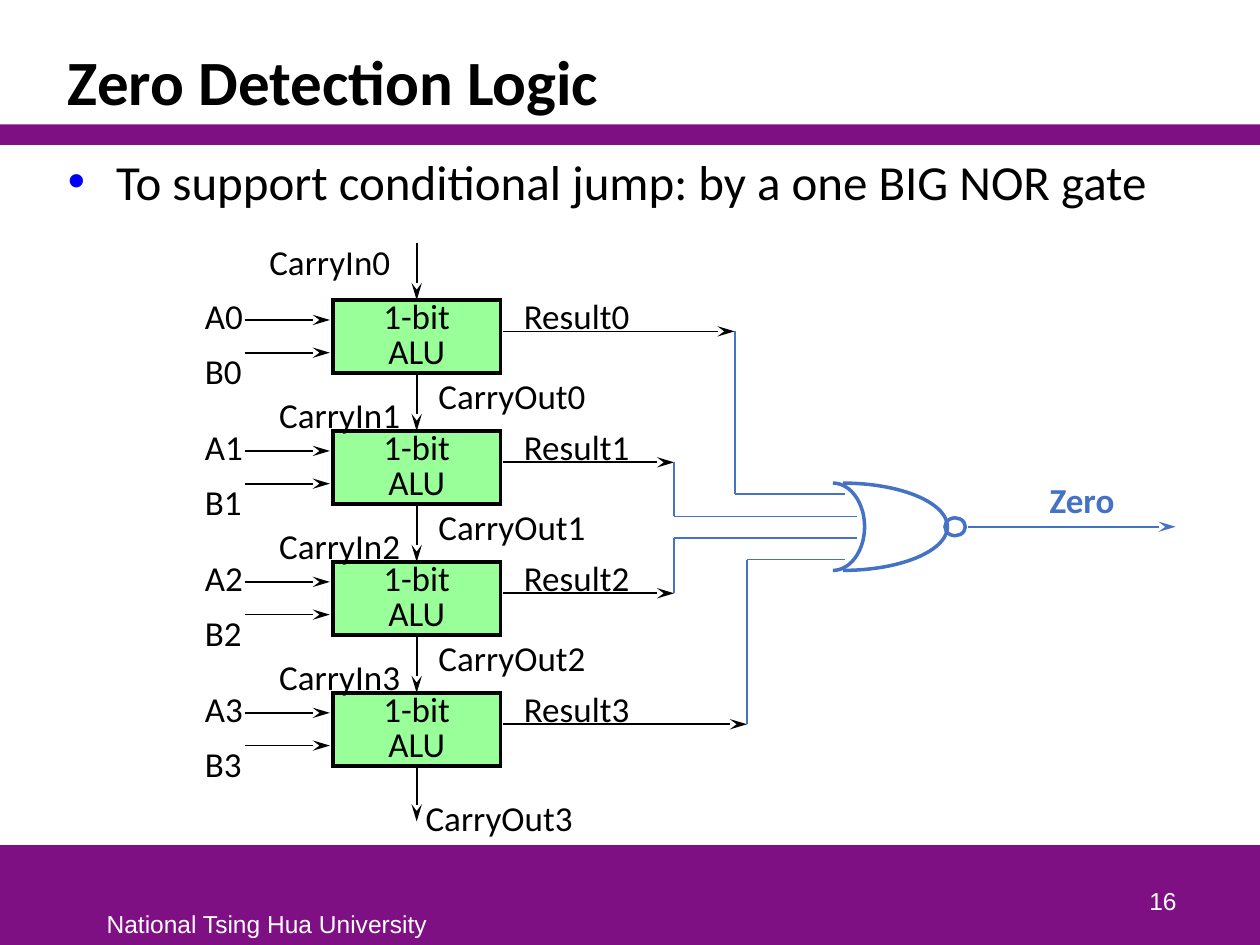
from math import cos, pi, sin

from lxml.etree import SubElement
from pptx import Presentation
from pptx.dml.color import RGBColor
from pptx.enum.shapes import MSO_CONNECTOR, MSO_SHAPE
from pptx.enum.text import MSO_ANCHOR, PP_ALIGN
from pptx.oxml.ns import qn
from pptx.util import Cm, Pt

PURPLE, GREEN, BLUE = "7F1084", "99FF99", "4472C4"
BLACK, WHITE, BULLET = "000000", "FFFFFF", "0000FF"

PITCH = 2.64                                    # from one ALU to the next
ALU_X, ALU_Y, ALU_W, ALU_H = 6.71, 6.05, 3.38, 1.47
CARRY_X = ALU_X + ALU_W / 2
GATE_Y, GATE_RY = 10.62, 0.88
# result end x, gate input x, gate input y
WIRES = [(14.81, 17.04, 9.96), (13.59, 17.27, 10.41),
         (13.59, 17.27, 10.85), (15.06, 17.04, 11.28)]


def rgb(color):
    return RGBColor.from_string(color)


class Diagram:
    font, size, line_width, outline_width = "Calibri", 20, 1, 2

    def __init__(self, slide):
        self.shapes = slide.shapes

    def style(self, p, color=BLACK, size=None, font=None, bold=False):
        for r in p.runs:
            r.font.name = font or self.font
            r.font.size = Pt(size or self.size)
            r.font.bold = bold
            r.font.color.rgb = rgb(color)

    def text(self, text, x, y, w, h=1.09, wrap=False, anchor=MSO_ANCHOR.TOP,
             align=PP_ALIGN.LEFT, **style):
        tf = self.shapes.add_textbox(Cm(x), Cm(y), Cm(w), Cm(h)).text_frame
        tf.word_wrap = wrap
        tf.vertical_anchor = anchor
        tf.text = text
        p = tf.paragraphs[0]
        p.alignment = align
        self.style(p, **style)
        return p

    def bullet(self, text, x, y, w, h, indent, size):
        p = self.text(text, x, y, w, h, wrap=True, size=size)
        pPr = p._p.get_or_add_pPr()
        pPr.set("marL", str(Cm(indent)))
        pPr.set("indent", str(-Cm(indent)))
        SubElement(SubElement(pPr, qn("a:buClr")), qn("a:srgbClr"), val=BULLET)
        SubElement(pPr, qn("a:buFont"), typeface="Arial")
        SubElement(pPr, qn("a:buChar"), char="•")

    def paint(self, sp, fill=None, line=None):
        sp.shadow.inherit = False
        if fill:
            sp.fill.solid()
            sp.fill.fore_color.rgb = rgb(fill)
        else:
            sp.fill.background()
        if line:
            sp.line.color.rgb = rgb(line)
            sp.line.width = Pt(self.outline_width)
            SubElement(sp.line._get_or_add_ln(), qn("a:miter"), lim="800000")
        else:
            sp.line.fill.background()
        return sp

    def shape(self, kind, x, y, w, h, fill=None, line=None):
        sp = self.shapes.add_shape(kind, Cm(x), Cm(y), Cm(w), Cm(h))
        return self.paint(sp, fill, line)

    def alu(self, y):
        sp = self.shape(MSO_SHAPE.RECTANGLE, ALU_X, y, ALU_W, ALU_H, GREEN, BLACK)
        tf = sp.text_frame
        tf.margin_top = tf.margin_bottom = 0
        tf.vertical_anchor = MSO_ANCHOR.MIDDLE
        tf.text = "1-bit\nALU"
        for p in tf.paragraphs:
            p.alignment = PP_ALIGN.CENTER
            p.line_spacing = Pt(20)
            self.style(p)
        return sp

    def line(self, x1, y1, x2, y2, color=BLACK, arrow=False):
        c = self.shapes.add_connector(MSO_CONNECTOR.STRAIGHT,
                                      Cm(x1), Cm(y1), Cm(x2), Cm(y2))
        c.line.color.rgb = rgb(color)
        c.line.width = Pt(self.line_width)
        if arrow:
            SubElement(c.line._get_or_add_ln(), qn("a:tailEnd"),
                       type="stealth", w="med", len="lg")
        SubElement(c._element.spPr, qn("a:effectLst"))
        return c

    def half_ellipse(self, x, y, rx, ry, steps=48):
        """Draw the right half of an ellipse centred on x, y."""
        angles = [pi * i / steps - pi / 2 for i in range(steps + 1)]
        points = [(Cm(x + rx * cos(a)), Cm(y + ry * sin(a))) for a in angles]
        builder = self.shapes.build_freeform(*points[0])
        builder.add_line_segments(points[1:], close=False)
        self.paint(builder.convert_to_shape(), line=BLUE)


def draw_frame(d):
    d.shape(MSO_SHAPE.RECTANGLE, 0, 17.04, 25.4, 2.01, PURPLE)
    d.shape(MSO_SHAPE.RECTANGLE, 0, 2.51, 25.4, 0.41, PURPLE)
    d.text("National Tsing Hua University", 1.9, 18.21, 7.01, 0.84,
           color=WHITE, size=14, font="Arial")
    title = d.text("Zero Detection Logic", 1.12, 0.64, 23.16, 1.88, wrap=True,
                   anchor=MSO_ANCHOR.BOTTOM, size=36, bold=True)
    title.line_spacing = 0.85
    d.bullet("To support conditional jump: by a one BIG NOR gate",
             1.12, 2.92, 23.16, 14.05, indent=0.97, size=28)
    d.text("16", 18.69, 17.3, 5.28, 1.27, wrap=True, anchor=MSO_ANCHOR.BOTTOM,
           align=PP_ALIGN.RIGHT, color=WHITE, size=14, font="Arial")


def draw_alus(d):
    last = len(WIRES) - 1
    previous = None
    for i, (end_x, gate_x, gate_y) in enumerate(WIRES):
        dy = i * PITCH
        top = ALU_Y + dy
        alu = d.alu(top)
        for name, label_y, arrow_y in (("A", 5.82, 6.45), ("B", 6.93, 7.11)):
            d.text(f"{name}{i}", 3.88, label_y + dy, 1.32)
            d.line(4.93, arrow_y + dy, 6.65, arrow_y + dy, arrow=True)

        carry = d.line(CARRY_X, top - 1.15, CARRY_X, top, arrow=True)
        if previous:
            carry.begin_connect(previous, 2)
        carry.end_connect(alu, 0)
        previous = alu
        d.text(f"CarryIn{i}", *((5.38, 5.16 + dy) if i else (5.18, 4.72)), 3)
        d.text(f"CarryOut{i}",
               *((8.59, 7.42 + dy) if i < last else (8.33, 15.93)), 3.53)

        result_y = 6.68 + dy
        d.text(f"Result{i}", 10.31, 5.82 + dy, 2.67)
        d.line(10.13, result_y, end_x, result_y, arrow=True)
        d.line(end_x, result_y, end_x, gate_y, BLUE)
        d.line(end_x, gate_y, gate_x, gate_y, BLUE)

    bottom = ALU_Y + last * PITCH + ALU_H
    carry = d.line(CARRY_X, bottom, CARRY_X, bottom + 1.12, arrow=True)
    carry.begin_connect(previous, 2)


def draw_nor_gate(d):
    for x, rx in ((16.99, 2.11), (16.79, 0.64)):
        d.half_ellipse(x, GATE_Y, rx, GATE_RY)
    d.shape(MSO_SHAPE.OVAL, 19.05, GATE_Y - 0.18, 0.41, 0.36, line=BLUE)
    d.line(19.51, GATE_Y, 23.7, GATE_Y, BLUE, arrow=True)
    d.text("Zero", 20.91, 9.52, 2.1, color=BLUE, bold=True)


def main():
    prs = Presentation()
    prs.slide_width, prs.slide_height = Cm(25.4), Cm(19.05)
    s = prs.slides.add_slide(prs.slide_layouts[6])
    d = Diagram(s)
    draw_frame(d)
    draw_alus(d)
    draw_nor_gate(d)
    prs.save("out.pptx")


if __name__ == "__main__":
    main()
